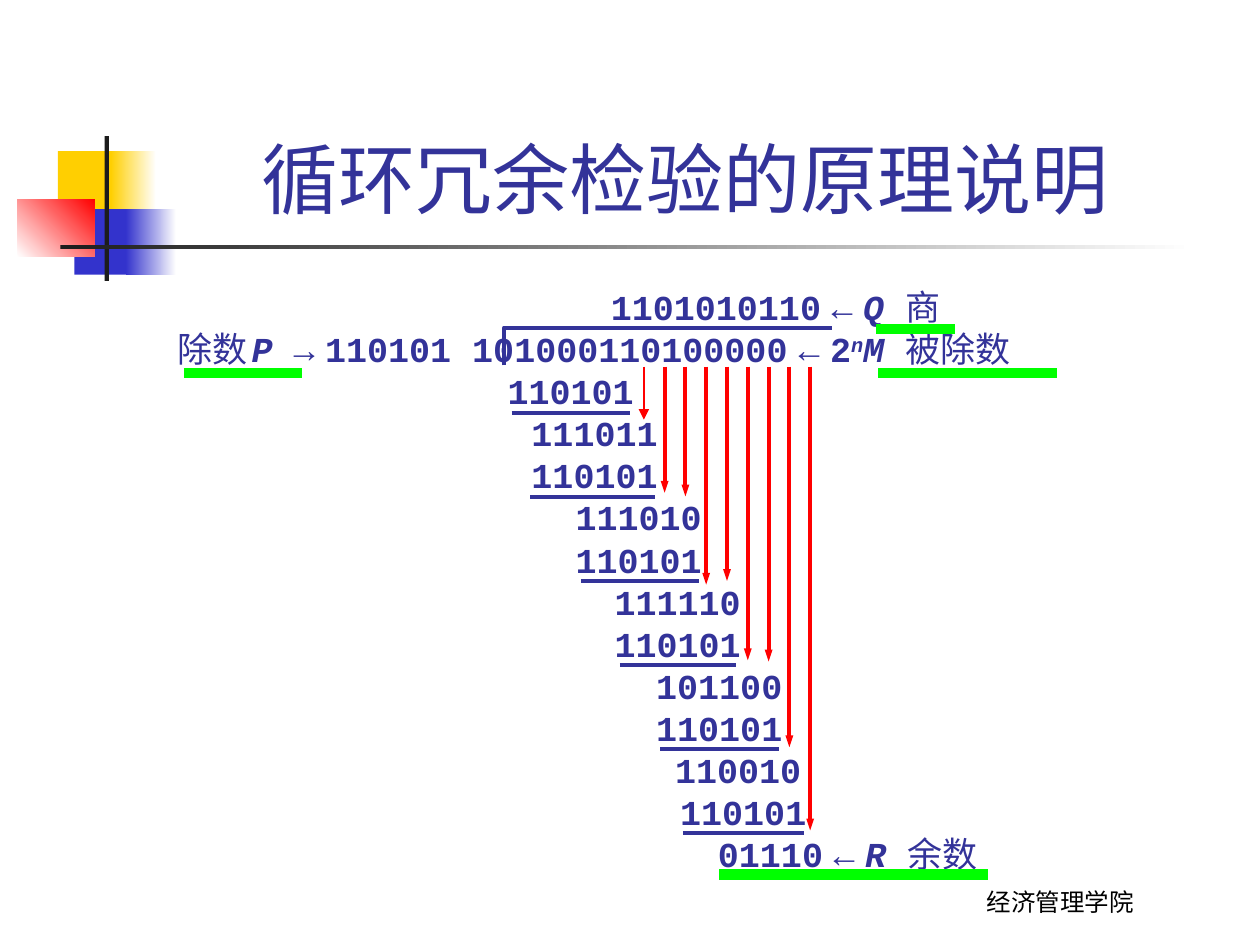
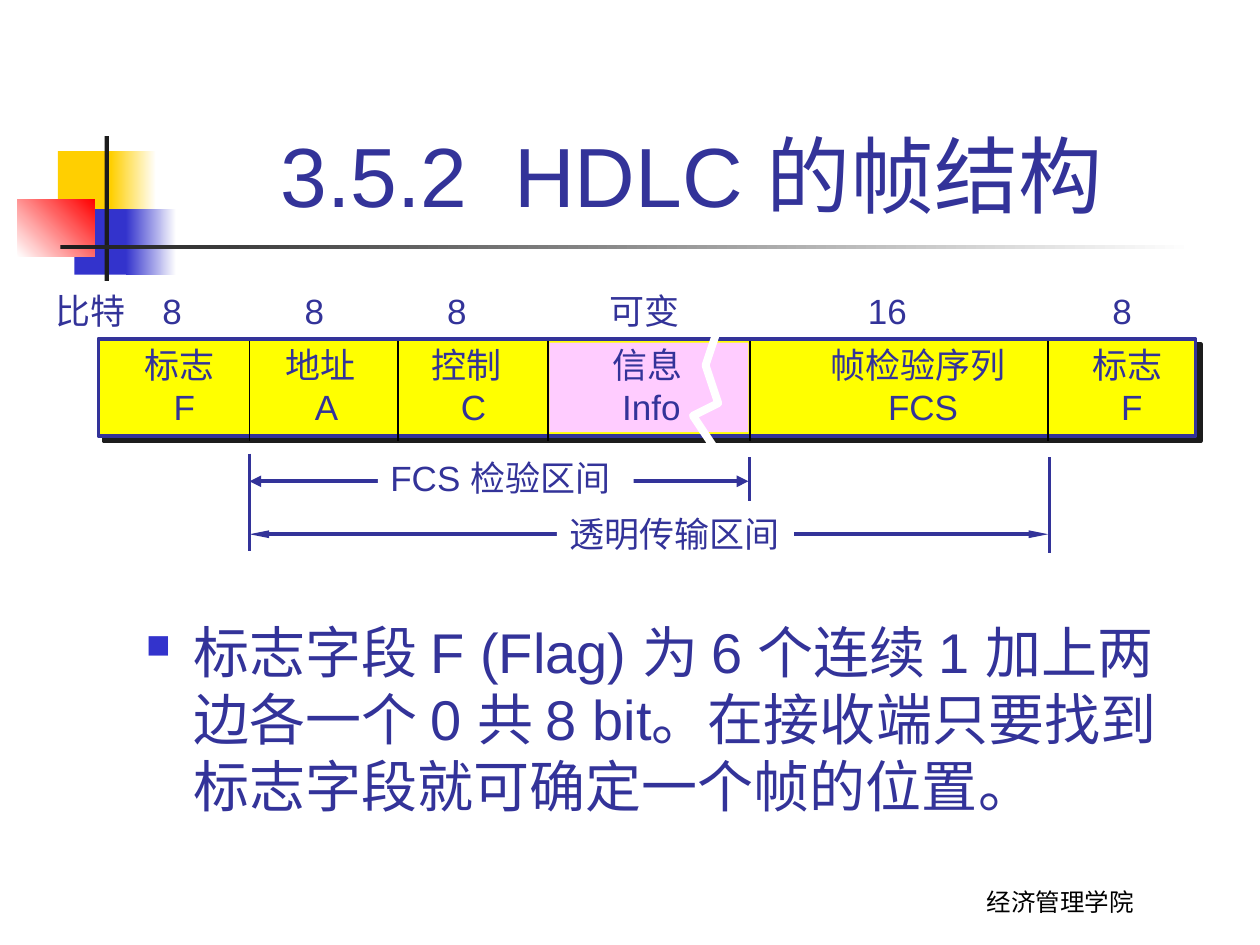
import pptx
import pptx.util
import pptx.dml.color
import pptx.enum.shapes
import pptx.enum.text
import pptx.oxml
import pptx.oxml.ns

COLORS = {
    "ink": "333399", "blue": "3333CC", "gold": "FFCF01", "red": "FF0000",
    "dark": "1C1C1C", "black": "000000", "white": "FFFFFF", "green": "00FF00",
    "yellow": "FFFF00", "pink": "FFCCFF",
}
RGB = {name: pptx.dml.color.RGBColor.from_string(h) for name, h in COLORS.items()}
RUN_STYLES = {
    "plain": {},
    "bold": {"bold": True},
    "gap": {"bold": True, "size": pptx.util.Pt(10)},
    "italic": {"bold": True, "italic": True},
    "power": {"bold": True, "italic": True},
}
RECT = pptx.enum.shapes.MSO_SHAPE.RECTANGLE
ALIGN = pptx.enum.text.PP_ALIGN
ANCHOR = pptx.enum.text.MSO_ANCHOR

prs = pptx.Presentation()
prs.slide_width = pptx.util.Inches(10)
prs.slide_height = pptx.util.Inches(7.5)
CELL = prs.slide_width // 100  # grid of 100 columns and 75 rows


def add_text(s, at, lines, sp=None, size=20, font="Arial", color="ink", fill=None,
             align=ALIGN.LEFT, anchor=ANCHOR.TOP, pitch=None, before=0, indents=()):
    """Write lines, each a string or (text, run style) pairs; at and indents are in cells."""
    sp = sp or s.shapes.add_textbox(0, 0, 0, 0)
    sp.left, sp.top, sp.width, sp.height = [round(v * CELL) for v in at]
    if fill:
        sp.fill.solid()
        sp.fill.fore_color.rgb = RGB[fill]
    tf = sp.text_frame
    tf.word_wrap = True
    tf.auto_size = pptx.enum.text.MSO_AUTO_SIZE.NONE
    tf.vertical_anchor = anchor
    for i, line in enumerate(lines):
        p = tf.add_paragraph() if i else tf.paragraphs[0]
        p.alignment = align
        p.space_before = pptx.util.Pt(before)
        if pitch:
            p.line_spacing = pptx.util.Pt(pitch)
        if indents:
            p._p.get_or_add_pPr().set("marL", str(round(indents[i] * CELL)))
        for text, style in [(line, "plain")] if isinstance(line, str) else line:
            r = p.add_run()
            r.text = text
            r.font.name = font
            r.font.size = pptx.util.Pt(size)
            r.font.color.rgb = RGB[color]
            for key, value in RUN_STYLES[style].items():
                setattr(r.font, key, value)
            if style == "power":
                r._r.get_or_add_rPr().set("baseline", "30000")
    return tf


def add_line(s, x1, y1, x2, y2, color="ink", width=2.25, heads=(), head_size=("med", "med")):
    """Draw a line between two grid points; heads names its ends with arrowheads."""
    cn = s.shapes.add_connector(pptx.enum.shapes.MSO_CONNECTOR.STRAIGHT,
                                *[round(v * CELL) for v in (x1, y1, x2, y2)])
    cn.line.color.rgb = RGB[color]
    cn.line.width = pptx.util.Pt(width)
    ln = cn.line._get_or_add_ln()
    for end in heads:
        head = pptx.oxml.parse_xml(f'<a:{end} {pptx.oxml.ns.nsdecls("a")} type="triangle"/>')
        head.set("w", head_size[0])
        head.set("len", head_size[1])
        ln.append(head)
    cn._element.spPr.append(pptx.oxml.parse_xml(f'<a:effectLst {pptx.oxml.ns.nsdecls("a")}/>'))


# Corner blocks, title and footer of every slide
ORNAMENT = [  # place, first colour, last colour, gradient angle
    ((4.6, 12, 4.8, 5.2), "gold", None, 0),
    ((8.8, 12, 3.6, 5.2), "gold", "white", 0),
    ((5.9, 16.6, 4.6, 5.2), "blue", None, 0),
    ((10, 16.6, 4, 5.2), "blue", "white", 0),
    ((1.4, 15.8, 6.1, 4.6), "white", "red", 45),
    ((8.3, 10.8, 0.35, 11.5), "dark", None, 0),
    ((4.8, 19.45, 90, 0.35), "dark", "white", 0),
]
TITLES = [("循环冗余检验的原理说明", 44, (11.8, 2.3, 85.2, 16)),
          ("3.5.2  HDLC 的帧结构", 48, (9.8, 2.3, 90.2, 16))]
for title, size, at in TITLES:
    s = prs.slides.add_slide(prs.slide_layouts[5])
    for place, first, last, angle in ORNAMENT:
        sp = s.shapes.add_shape(RECT, *[round(v * CELL) for v in place])
        sp.shadow.inherit = False
        sp.line.fill.background()
        if last:
            sp.fill.gradient()
            sp.fill.gradient_angle = angle
            for stop, name in zip(sp.fill.gradient_stops, (first, last)):
                stop.color.rgb = RGB[name]
        else:
            sp.fill.solid()
            sp.fill.fore_color.rgb = RGB[first]
    add_text(s, at, [title], sp=s.shapes.title, size=size,
             align=ALIGN.CENTER, anchor=ANCHOR.BOTTOM)
    add_text(s, (68.3, 68.2, 31.7, 5), ["经济管理学院"], size=14, font="Cabin",
             color="black", align=ALIGN.CENTER, anchor=ANCHOR.BOTTOM)
division, frame = prs.slides

# Slide 1: long division, one text line per row
TOP, ROW = 22.7, 10 / 3
arrow_left = [(" ", "gap"), ("←", "bold"), (" ", "gap")]
rows = [
    (35, [("1101010110", "bold"), *arrow_left, ("Q ", "italic"), ("商", "plain")]),
    (0.6, [("除数", "plain"), (" ", "gap"), ("P ", "italic"), ("→", "bold"), (" ", "gap"),
           ("110101 101000110100000", "bold"), *arrow_left, ("2", "bold"), ("n", "power"),
           ("M ", "italic"), ("被除数", "plain")]),
]
steps = [(26.8, "110101"), (28.7, "111011"), (28.7, "110101"), (32.2, "111010"),
         (32.2, "110101"), (35.3, "111110"), (35.3, "110101"), (38.6, "101100"),
         (38.6, "110101"), (40.1, "110010"), (40.5, "110101")]
rows += [(indent, [(digits, "bold")]) for indent, digits in steps]
rows.append((43.5, [("01110", "bold"), *arrow_left, ("R ", "italic"), ("余数", "plain")]))
add_text(division, (12.5, 22.2, 73.7, 47.7), [line for _, line in rows],
         font="Courier New", pitch=24, indents=[indent for indent, _ in rows])

pen = division.shapes.build_freeform(39.5, 28.6, scale=CELL)
pen.add_line_segments([(39.5, 25.7), (65.7, 25.7)], close=False)
bracket = pen.convert_to_shape()
bracket.shadow.inherit = False
bracket.fill.background()
bracket.line.color.rgb = RGB["ink"]
bracket.line.width = pptx.util.Pt(2.25)

for i, bottom in enumerate([33.3, 39.1, 39.4, 46.4, 46.1, 52.4, 52.5, 59.3, 65.9]):
    x = 51.1 + 1.65 * i
    add_line(division, x, 29.1, x, bottom, "red", 2.25 if i else 1.5, ["tailEnd"],
             ("sm" if i else "med", "med"))
subtractions = [(40.6, 50), (42.1, 52), (46.1, 55.5), (49.2, 58.4), (52.4, 61.8), (54.2, 63.8)]
for i, (x1, x2) in enumerate(subtractions):
    y = TOP + ROW * (3 + 2 * i) + 0.1
    add_line(division, x1, y, x2, y)
for x1, x2, y in [(57.1, 78.4, 69.4), (69.7, 83.9, 29.6), (14.6, 24, 29.6), (69.5, 75.8, 26.1)]:
    add_line(division, x1, y, x2, y, "green", 6)

# Slide 2: frame fields, check ranges and the flag rule
tf = add_text(frame, (10.6, 48.5, 85, 20.4),
              ["标志字段 F (Flag) 为 6 个连续 1 加上两边各一个 0 共 8 bit。"
               "在接收端只要找到标志字段就可确定一个帧的位置。"],
              size=32, before=8, indents=[3.8])
pPr = tf.paragraphs[0]._p.pPr
pPr.set("indent", str(round(-3.8 * CELL)))
for xml in (f'buClr {pptx.oxml.ns.nsdecls("a")}><a:srgbClr val="{COLORS["blue"]}"/></a:buClr>',
            f'buSzPct {pptx.oxml.ns.nsdecls("a")} val="60000"/>',
            f'buChar {pptx.oxml.ns.nsdecls("a")} char="■"/>'):
    pPr.append(pptx.oxml.parse_xml("<a:" + xml))

for at, fill in [((7.8, 26.9, 87.1, 7.7), "yellow"), ((43.6, 27.2, 15.8, 7.1), "pink")]:
    sp = frame.shapes.add_shape(RECT, *[round(v * CELL) for v in at])
    sp.shadow.inherit = False
    sp.fill.solid()
    sp.fill.fore_color.rgb = RGB[fill]
    if fill == "pink":
        sp.line.fill.background()
        continue
    sp.line.color.rgb = RGB["ink"]
    sp.line.width = pptx.util.Pt(2)
    effects = sp._element.spPr.find(pptx.oxml.ns.qn("a:effectLst"))
    effects.append(pptx.oxml.parse_xml(
        f'<a:outerShdw {pptx.oxml.ns.nsdecls("a")} blurRad="0" dist="53340" dir="2700000" '
        f'algn="ctr" rotWithShape="0"><a:srgbClr val="{COLORS["dark"]}"/></a:outerShdw>'))

bits = [(3.4, "比特"), (11.9, "8"), (23.2, "8"), (34.5, "8"),
        (47.4, "可变"), (67.9, "16"), (87.3, "8")]
for x, text in bits:
    add_text(frame, (x, 22.5, 9, 4.3), [text])
fields = [(10.5, "标志", "F", 2.3), (21.7, "地址", "A", 2.3), (33.3, "控制", "C", 2.3),
          (47.6, "信息", "Info", 0.8), (64.9, "帧检验序列", "FCS", 4.6), (85.7, "标志", "F", 2.3)]
for x, name, symbol, indent in fields:
    add_text(frame, (x, 26.8, 17 if symbol == "FCS" else 9, 7.6), [name, symbol],
             indents=[0, indent])
for x in (19.8, 31.6, 43.5, 59.5, 83.2):
    add_line(frame, x, 27.1, x, 35, "black", 1)

for x, top, bottom in [(19.8, 36, 43.7), (59.5, 36.3, 39.8), (83.3, 36.3, 43.9)]:
    add_line(frame, x, top, x, bottom, width=1.5)
ranges = [("FCS 检验区间", 59.4, 38.2, (30, 35.7, 20.3, 4.3), ("med", "med")),
          ("透明传输区间", 83.2, 42.4, (44.2, 40.2, 18.8, 4.3), ("sm", "lg"))]
for label, right, y, at, head_size in ranges:
    add_line(frame, 19.8, y, right, y, heads=["headEnd", "tailEnd"], head_size=head_size)
    add_text(frame, at, [label], fill="white")

pen = frame.shapes.build_freeform(57, 26.2, scale=CELL)
pen.add_line_segments([(55.9, 28.9), (57, 31.7), (55.4, 33.2), (56.8, 36.3)], close=False)
tear = pen.convert_to_shape()
tear.shadow.inherit = False
tear.fill.background()
tear.line.color.rgb = RGB["white"]
tear.line.width = pptx.util.Pt(4.5)

prs.save("out.pptx")
